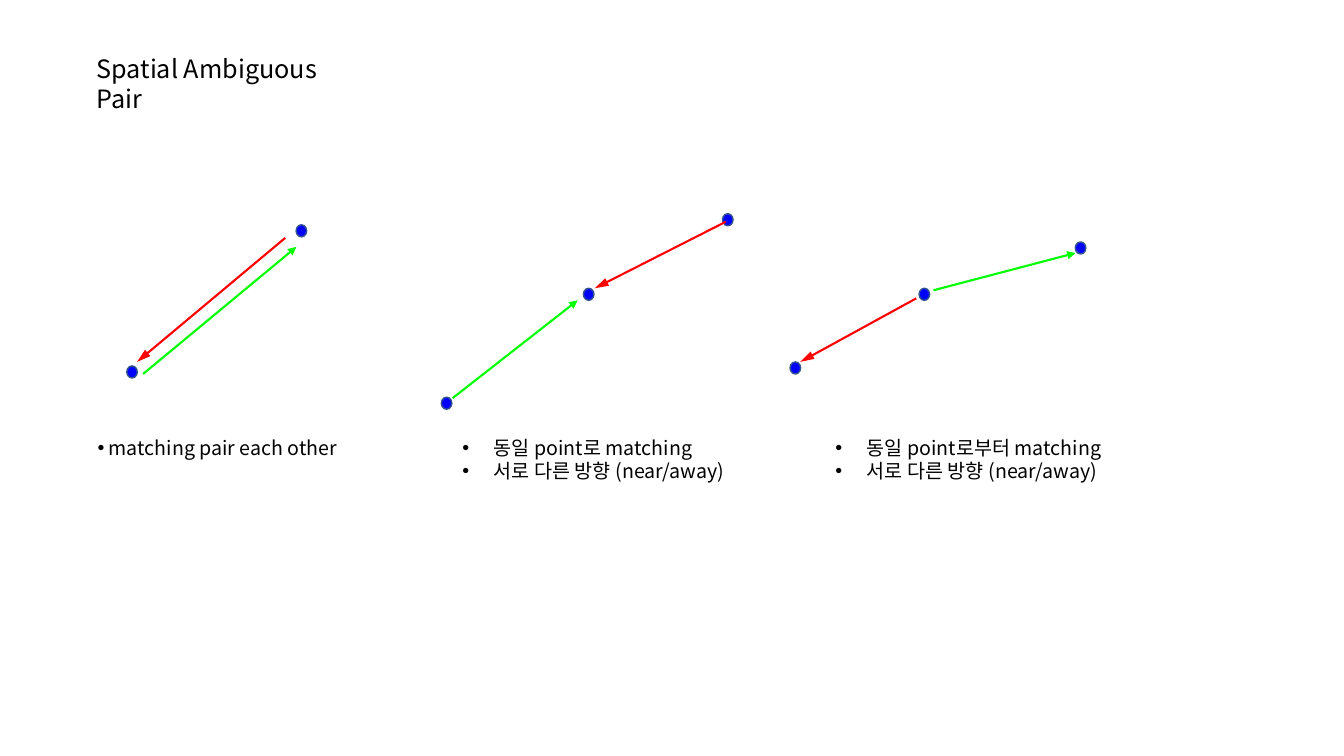
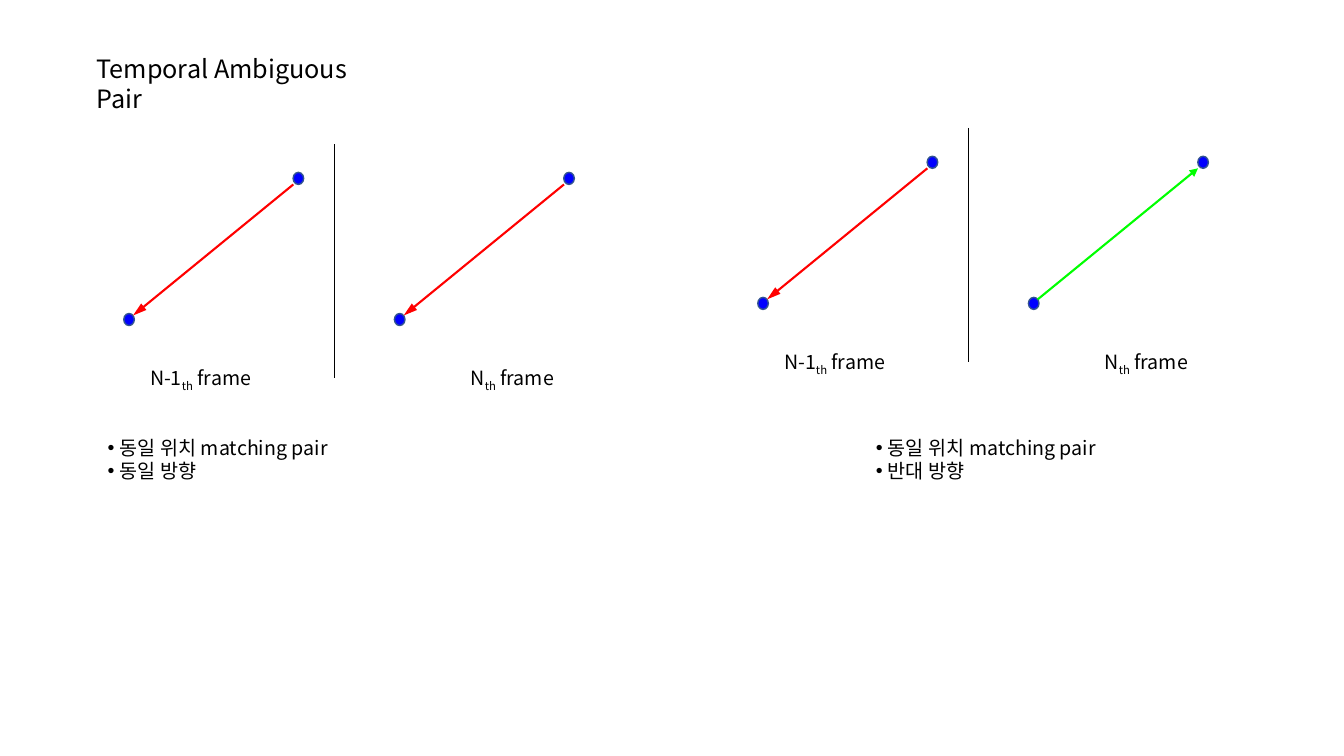
from dataclasses import dataclass

from lxml import etree
from pptx import Presentation
from pptx import util as u
from pptx.dml.color import RGBColor
from pptx.enum import shapes, text
from pptx.oxml.ns import qn


@dataclass(frozen=True)
class Theme:
    font: str = "Noto Sans CJK KR"
    title_size: float = 18
    body_size: float = 14
    ink: str = "000000"
    dot: str = "0000FF"
    dot_edge: str = "325491"
    near: str = "FF0000"
    away: str = "00FF00"
    dot_line: float = 1
    arrow_line: float = 1.5
    divider_line: float = 0.5


THEME = Theme()
COLS, ROWS = 133.33, 75  # square grid cells over the whole slide
CELL = u.Inches(0.1)
NOTE_ROW = 42.75
HEAD_LENGTH = {THEME.near: "lg", THEME.away: "med"}


def cells(count):
    return u.Emu(round(count * CELL))


def rgb(value):
    return RGBColor.from_string(value)


def shift(origin, point):
    return origin[0] + point[0], origin[1] + point[1]


def add_run(paragraph, words, size, subscript=False):
    run = paragraph.add_run()
    run.text = words
    font = run.font
    font.name, font.size = THEME.font, u.Pt(size)
    font.color.rgb = rgb(THEME.ink)
    properties = run._r.get_or_add_rPr()
    etree.SubElement(properties, qn("a:ea")).set("typeface", THEME.font)
    if subscript:
        properties.set("baseline", "-25000")


def add_bullet(paragraph, indent):
    properties = paragraph._p.get_or_add_pPr()
    properties.set("marL", str(cells(indent)))
    properties.set("indent", str(-cells(indent)))
    etree.SubElement(properties, qn("a:buFont")).set("typeface", "Arial")
    etree.SubElement(properties, qn("a:buChar")).set("char", "•")


def add_text(slide, at, size, lines, points=THEME.body_size, indent=0):
    """Each line is a list of (words, is_subscript) pairs."""
    frame = slide.shapes.add_textbox(*map(cells, (*at, *size))).text_frame
    frame.word_wrap = True
    frame.auto_size = text.MSO_AUTO_SIZE.SHAPE_TO_FIT_TEXT
    for index, line in enumerate(lines):
        paragraph = frame.paragraphs[0] if index == 0 else frame.add_paragraph()
        if indent:
            add_bullet(paragraph, indent)
        for words, subscript in line:
            add_run(paragraph, words, points, subscript)


def add_title(slide, words, width):
    add_text(slide, (8.6, 4.8), (width, 4), [[(words, False)]], THEME.title_size)


def add_notes(slide, left, width, notes, indent):
    lines = [[(note, False)] for note in notes]
    add_text(slide, (left, NOTE_ROW), (width, 1 + 2.35 * len(notes)), lines, indent=indent)


def add_dot(slide, center):
    width, height = 1.05, 1.2
    left, top = center[0] - width / 2, center[1] - height / 2
    dot = slide.shapes.add_shape(shapes.MSO_SHAPE.OVAL, *map(cells, (left, top, width, height)))
    dot.shadow.inherit = False
    dot.fill.solid()
    dot.fill.fore_color.rgb = rgb(THEME.dot)
    dot.line.color.rgb = rgb(THEME.dot_edge)
    dot.line.width = u.Pt(THEME.dot_line)


def add_line(slide, start, end, color, width):
    line = slide.shapes.add_connector(
        shapes.MSO_CONNECTOR.STRAIGHT, *map(cells, (*start, *end)))
    line.line.color.rgb = rgb(color)
    line.line.width = u.Pt(width)
    etree.SubElement(line._element.spPr, qn("a:effectLst"))
    return line


def add_arrow(slide, start, end, color):
    arrow = add_line(slide, start, end, color, THEME.arrow_line)
    head = etree.SubElement(arrow.line._get_or_add_ln(), qn("a:tailEnd"))
    head.set("type", "triangle")
    head.set("w", "med")
    head.set("len", HEAD_LENGTH[color])


def matching_diagram(slide, origin, dots, arrows):
    """Draw points and coloured arrows, all measured from origin."""
    for center in dots:
        add_dot(slide, shift(origin, center))
    for color, start, end in arrows:
        add_arrow(slide, shift(origin, start), shift(origin, end), color)


def frame_comparison(slide, origin, directions):
    """Draw frames N-1 and N side by side with a divider between them."""
    frame_step, frame_top, label_top = 26.85, 2.8, 21.5
    low, high = (0.9, 14.2), (16.8, 1.2)
    ends = {THEME.near: (high, low), THEME.away: (low, high)}
    labels = (("N-1", 1.6, 12.4), ("N", 33.4, 10.5))
    for index, (color, (name, label_left, label_width)) in enumerate(zip(directions, labels)):
        matching_diagram(slide, shift(origin, (index * frame_step, frame_top)),
                         [(0.5, 14.6), (17.3, 0.6)], [(color, *ends[color])])
        add_text(slide, shift(origin, (label_left, label_top)), (label_width, 3.4),
                 [[(name, False), ("th", True), (" frame", False)]])
    add_line(slide, shift(origin, (20.9, 0)), shift(origin, (20.9, 23.2)),
             THEME.ink, THEME.divider_line)


def spatial_slide(slide):
    add_title(slide, "Spatial Ambiguous Pair", 28.6)
    near, away = THEME.near, THEME.away
    matching_diagram(slide, (12.6, 22.3), [(0.5, 14.6), (17.3, 0.6)],
                     [(near, (15.7, 1.3), (1, 13.6)), (away, (1.6, 14.8), (16.8, 2.2))])
    matching_diagram(slide, (43.8, 21.2), [(0.5, 18.8), (14.6, 8), (28.4, 0.6)],
                     [(near, (28.2, 0.8), (15.2, 7.4)), (away, (1.1, 18.3), (13.5, 8.6))])
    matching_diagram(slide, (78.4, 24), [(0.5, 12.5), (13.3, 5.2), (28.8, 0.6)],
                     [(near, (12.5, 5.6), (1, 11.9)), (away, (14.2, 4.8), (28.3, 1.1))])
    add_notes(slide, 8.7, 26.2, ["matching pair each other"], 1.1)
    for left, target in ((44.9, "동일 point로 matching"), (81.9, "동일 point로부터 matching")):
        add_notes(slide, left, 29.3, [target, "서로 다른 방향 (near/away)"], 3.1)


def temporal_slide(slide):
    add_title(slide, "Temporal Ambiguous Pair", 31.5)
    comparisons = (
        ((12.3, 14.3), (THEME.near, THEME.near), 9.7, "동일 방향"),
        ((75.2, 12.7), (THEME.near, THEME.away), 85.9, "반대 방향"),
    )
    for origin, directions, note_left, direction_note in comparisons:
        frame_comparison(slide, origin, directions)
        add_notes(slide, note_left, 25.2, ["동일 위치 matching pair", direction_note], 1.2)


def main():
    deck = Presentation()
    deck.slide_width, deck.slide_height = cells(COLS), cells(ROWS)
    blank = deck.slide_layouts[6]
    for build in (spatial_slide, temporal_slide):
        build(deck.slides.add_slide(blank))
    deck.save("out.pptx")


if __name__ == "__main__":
    main()
